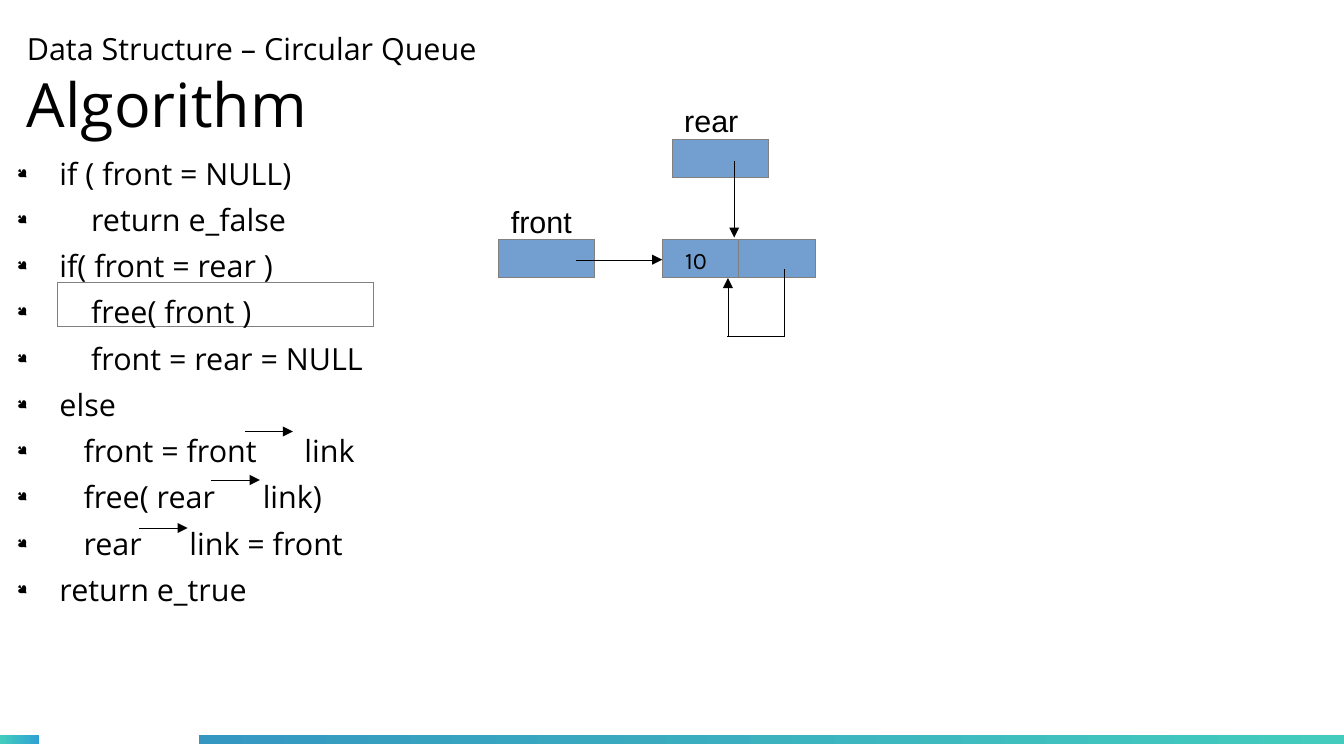
"""Build the circular queue slide with its delete algorithm and node diagram."""
import pptx
import pptx.dml.color
import pptx.enum.shapes
import pptx.enum.text
import pptx.oxml.ns
import pptx.util
from lxml import etree
from pptx.util import Cm, Pt


class Theme:
    ink = pptx.dml.color.RGBColor.from_string("000000")
    edge = pptx.dml.color.RGBColor.from_string("808080")
    node = pptx.dml.color.RGBColor.from_string("729FCF")
    white = pptx.dml.color.RGBColor.from_string("FFFFFF")
    teal = pptx.dml.color.RGBColor.from_string("43CCBD")
    sky = pptx.dml.color.RGBColor.from_string("30A2D2")
    blue = pptx.dml.color.RGBColor.from_string("3497C1")
    body = "Open Sans"
    label = "Arial"
    value = "Karla"
    small = Pt(14)
    text = Pt(18)
    head = Pt(36)


def add_box(left, top, width, height):
    box = slide.shapes.add_shape(
        pptx.enum.shapes.MSO_SHAPE.RECTANGLE, Cm(left), Cm(top), Cm(width), Cm(height))
    box.shadow.inherit = False
    return box


def add_text(left, top, width, height, wrap=True):
    frame = slide.shapes.add_textbox(Cm(left), Cm(top), Cm(width), Cm(height)).text_frame
    frame.word_wrap = wrap
    return frame


qn = pptx.oxml.ns.qn
deck = pptx.Presentation()
deck.slide_width, deck.slide_height = Cm(27.99), Cm(15.75)
slide = deck.slides.add_slide(deck.slide_layouts[6])

for left, width, start, end in [
    (0, 0.81, Theme.teal, Theme.sky),
    (4.14, 23.85, Theme.blue, Theme.teal),
]:
    bar = add_box(left, 15.31, width, 0.2)
    bar.fill.gradient()
    bar.fill.gradient_angle = 0
    for stop, tint in zip(bar.fill.gradient_stops, (start, end)):
        stop.color.rgb = tint
    bar.line.fill.background()

title = add_text(0.56, 0.2, 25.25, 3.15)
title.margin_left = title.margin_right = title.margin_top = title.margin_bottom = 0
title.vertical_anchor = pptx.enum.text.MSO_ANCHOR.MIDDLE
para = title.paragraphs[0]
para.font.name = Theme.body
para.font.color.rgb = Theme.ink
topic = para.add_run()
topic.text = "Data Structure – Circular Queue"
topic.font.size = Theme.text
para.add_line_break()
name = para.add_run()
name.text = "Algorithm"
name.font.size = Theme.head

for left, top, width, height, tint in [
    (1.19, 5.89, 6.6, 0.91, Theme.white),
    (13.79, 5, 1.6, 0.79, Theme.node),
    (15.39, 5, 1.6, 0.79, Theme.node),
    (14, 2.9, 2, 0.79, Theme.node),
    (10.39, 5, 2, 0.79, Theme.node),
]:
    box = add_box(left, top, width, height)
    box.fill.solid()
    box.fill.fore_color.rgb = tint
    box.line.color.rgb = Theme.edge
    box.line._get_or_add_ln().set("w", "0")

code = add_text(-0.2, 3.1, 12.5, 11.3)
steps = [
    (0, ["if ( front = NULL)"]),
    (0.66, ["return e_false"]),
    (0, ["if( front = rear )"]),
    (0.66, ["free( front )"]),
    (0.66, ["front = rear = NULL"]),
    (0, ["else"]),
    (0.5, ["front = front", "link"]),
    (0.5, ["free( rear", "link)"]),
    (0.5, ["rear", "link = front"]),
    (0, ["return e_true"]),
]
for row, (inset, parts) in enumerate(steps):
    para = code.add_paragraph() if row else code.paragraphs[0]
    para.space_after = Pt(5.7)
    props = para._p.get_or_add_pPr()
    props.set("marL", str(Cm(1.19 + inset)))
    props.set("indent", str(-Cm(0.89 + inset)))
    tint = etree.SubElement(props, qn("a:buClr"))
    etree.SubElement(tint, qn("a:srgbClr"), val=str(Theme.ink))
    etree.SubElement(props, qn("a:buSzPct"), val="45000")
    etree.SubElement(props, qn("a:buFont"), typeface="Wingdings", charset="2")
    etree.SubElement(props, qn("a:buChar"), char="●")
    para.font.name = Theme.body
    para.font.size = Theme.text
    para.font.color.rgb = Theme.ink
    para.add_run().text = parts[0]
    for part in parts[1:]:
        gap = para.add_run()
        gap.text = " "
        gap._r.get_or_add_rPr().set("spc", "2340")
        para.add_run().text = part

for word, left, top, width, height, wrap, face, size in [
    ("rear", 14, 2.01, 1.96, 0.97, False, Theme.label, Theme.text),
    ("front", 10.39, 4.11, 1.96, 0.97, False, Theme.label, Theme.text),
    ("10", 14.02, 5, 1.37, 0.91, True, Theme.value, Theme.small),
]:
    para = add_text(left, top, width, height, wrap).paragraphs[0]
    para.text = word
    para.font.name = face
    para.font.size = size
    para.font.color.rgb = Theme.ink

for x1, y1, x2, y2, tip in [
    (5.11, 8.99, 6.1, 8.99, True),
    (4.39, 10, 5.41, 10, True),
    (2.9, 11, 3.91, 11, True),
    (11.99, 5.41, 13.79, 5.41, True),
    (15.29, 3.35, 15.29, 4.95, True),
    (16.33, 5.61, 16.33, 7.01, False),
    (15.16, 7.01, 16.33, 7.01, False),
    (15.16, 7.01, 15.16, 5.79, True),
]:
    link = slide.shapes.add_connector(
        pptx.enum.shapes.MSO_CONNECTOR.STRAIGHT, Cm(x1), Cm(y1), Cm(x2), Cm(y2))
    link.line.color.rgb = Theme.ink
    stroke = link.line._get_or_add_ln()
    stroke.set("w", "0")
    if tip:
        etree.SubElement(stroke, qn("a:tailEnd"), type="triangle")
    etree.SubElement(link._element.spPr, qn("a:effectLst"))

deck.save("out.pptx")
